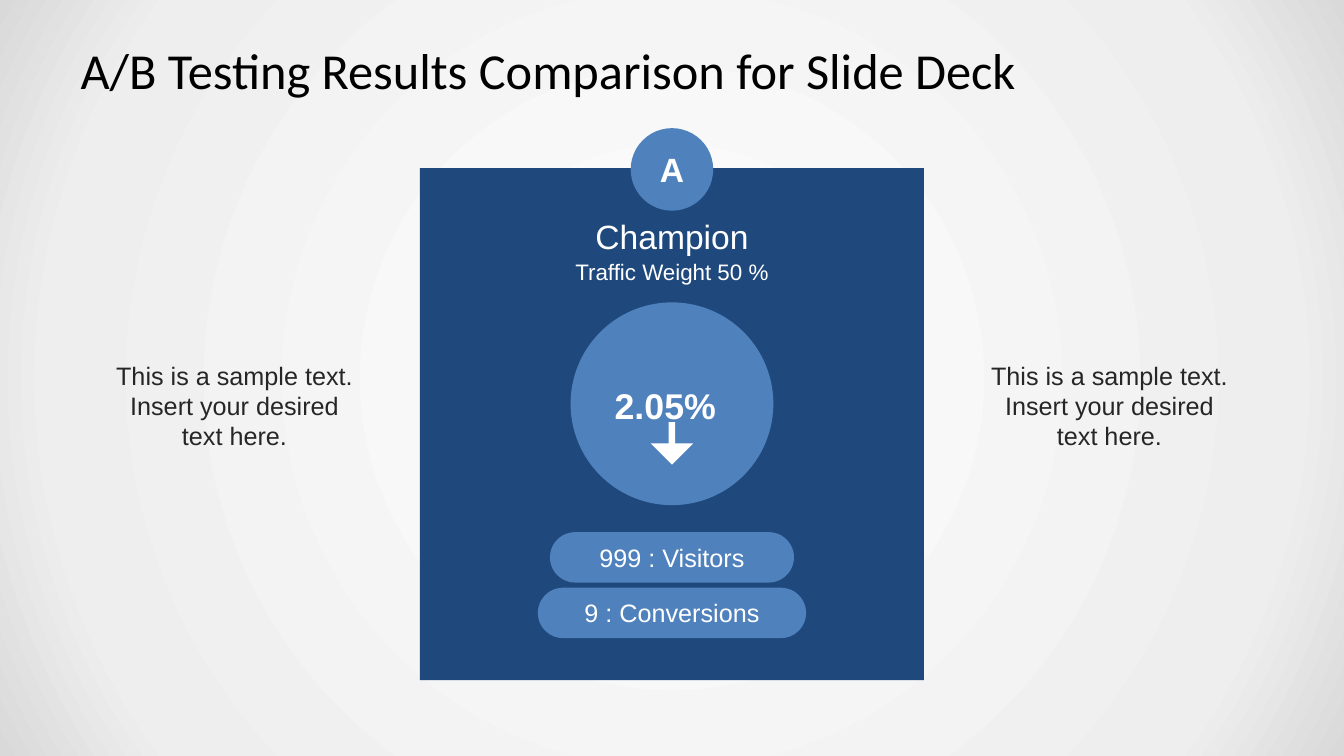
from dataclasses import dataclass

import lxml.etree
import pptx
import pptx.dml.color
import pptx.enum.shapes
import pptx.enum.text
import pptx.oxml
import pptx.oxml.ns
import pptx.shapes.base
import pptx.slide
import pptx.text.text
import pptx.util

Cm = pptx.util.Cm
Shape = pptx.enum.shapes.MSO_SHAPE
Align = pptx.enum.text.PP_ALIGN
Anchor = pptx.enum.text.MSO_ANCHOR

SLIDE_WIDTH, SLIDE_HEIGHT = 33.87, 19.05
CENTRE = SLIDE_WIDTH / 2
NAVY, BLUE, WHITE, BLACK, CHARCOAL = "1F497D", "4F81BD", "FFFFFF", "000000", "262626"
BACKGROUND_STOPS = ((0, "FFFFFF"), (81, "EEEEEE"), (100, "D9D9D9"))


@dataclass(frozen=True)
class Label:
    paragraphs: tuple[str, ...]
    size: float
    color: str = WHITE
    bold: bool = False
    font: str = "Arial"
    align: Align = Align.CENTER
    baseline: int = 0  # percent above the line


@dataclass(frozen=True)
class CentredShape:
    """A preset shape whose middle lies on the slide's vertical axis."""
    preset: Shape
    top: float
    width: float
    height: float
    fill: str = BLUE
    adjustments: tuple[float, ...] = ()
    label: Label | None = None


@dataclass(frozen=True)
class TextBox:
    left: float
    top: float
    width: float
    height: float
    label: Label
    wrap: bool = True
    anchor: Anchor = Anchor.TOP
    margins: tuple[float, float] = (0.25, 0.13)  # horizontal, vertical


def centred(width: float) -> float:
    return CENTRE - width / 2


def rgb(color: str) -> pptx.dml.color.RGBColor:
    return pptx.dml.color.RGBColor.from_string(color)


def set_margins(frame: pptx.text.text.TextFrame, horizontal: float, vertical: float) -> None:
    frame.margin_left = frame.margin_right = Cm(horizontal)
    frame.margin_top = frame.margin_bottom = Cm(vertical)


def write_label(frame: pptx.text.text.TextFrame, label: Label) -> None:
    for index, text in enumerate(label.paragraphs):
        paragraph = frame.add_paragraph() if index else frame.paragraphs[0]
        paragraph.alignment = label.align
        run = paragraph.add_run()
        run.text = text
        run.font.name = label.font
        run.font.size = pptx.util.Pt(label.size)
        run.font.bold = label.bold
        run.font.color.rgb = rgb(label.color)
        if label.baseline:
            run._r.get_or_add_rPr().set("baseline", str(label.baseline * 1000))


def draw_shape(slide: pptx.slide.Slide, item: CentredShape) -> None:
    shape = slide.shapes.add_shape(
        item.preset, Cm(centred(item.width)), Cm(item.top), Cm(item.width), Cm(item.height))
    shape.shadow.inherit = False
    shape.fill.solid()
    shape.fill.fore_color.rgb = rgb(item.fill)
    shape.line.fill.background()
    for index, value in enumerate(item.adjustments):
        shape.adjustments[index] = value
    if item.label:
        set_margins(shape.text_frame, 0, 0)
        shape.text_frame.vertical_anchor = Anchor.MIDDLE
        write_label(shape.text_frame, item.label)


def draw_text(slide: pptx.slide.Slide, item: TextBox) -> None:
    box = slide.shapes.add_textbox(Cm(item.left), Cm(item.top), Cm(item.width), Cm(item.height))
    frame = box.text_frame
    frame.word_wrap = item.wrap
    frame.vertical_anchor = item.anchor
    set_margins(frame, *item.margins)
    write_label(frame, item.label)


def paint_background(slide: pptx.slide.Slide) -> None:
    """Fill the slide with a gradient that spreads in circles from the middle."""
    slide.background.fill.gradient()
    gradient = slide.element.xpath("./p:cSld/p:bg/p:bgPr/a:gradFill")[0]
    stops = "".join(
        f'<a:gs pos="{position * 1000}"><a:srgbClr val="{color}"/></a:gs>'
        for position, color in BACKGROUND_STOPS)
    radial = pptx.oxml.parse_xml(
        f'<a:gradFill {pptx.oxml.ns.nsdecls("a")} rotWithShape="1"><a:gsLst>{stops}</a:gsLst>'
        '<a:path path="circle"><a:fillToRect l="50000" t="50000" r="50000" b="50000"/></a:path>'
        '</a:gradFill>')
    gradient.getparent().replace(gradient, radial)


SHAPES = (
    CentredShape(Shape.RECTANGLE, 4.24, 12.7, 12.9, NAVY),
    CentredShape(Shape.OVAL, 7.75, 4.95, 4.95),
    CentredShape(Shape.DONUT, 7.62, 5.11, 5.11, adjustments=(0.075,)),
    CentredShape(Shape.DOWN_ARROW, 10.64, 1.07, 1.07, WHITE, (0.153, 0.5)),
    CentredShape(Shape.OVAL, 3.23, 2.08, 2.08, label=Label(("A",), 24, bold=True)),
    CentredShape(Shape.ROUNDED_RECTANGLE, 13.41, 6.15, 1.27, adjustments=(0.5,),
                 label=Label(("999 : Visitors",), 18)),
    CentredShape(Shape.ROUNDED_RECTANGLE, 14.81, 6.76, 1.27, adjustments=(0.5,),
                 label=Label(("9 : Conversions",), 18)),
)

SIDE_NOTE = Label(("This is a sample text.", "Insert your desired text here."), 18, CHARCOAL)
SIDE_MARGIN, SIDE_WIDTH = 2.52, 6.78

TEXTS = (
    TextBox(1.7, 0.76, 30.48, 1.98,
            Label(("A/B Testing Results Comparison for Slide Deck",), 36, BLACK,
                  font="Calibri", align=Align.LEFT),
            anchor=Anchor.MIDDLE, margins=(0.33, 0.18)),
    TextBox(15.24, 8.94, 3.48, 1.5,
            Label(("2.05%",), 44, bold=True, align=Align.LEFT, baseline=3), wrap=False),
    TextBox(centred(4.42), 5.31, 4.42, 1.27, Label(("Champion",), 24), wrap=False),
    TextBox(centred(5.46), 6.38, 5.46, 0.94, Label(("Traffic Weight 50 %",), 16), wrap=False),
    *(TextBox(left, 8.94, SIDE_WIDTH, 2.57, SIDE_NOTE)
      for left in (SIDE_MARGIN, SLIDE_WIDTH - SIDE_MARGIN - SIDE_WIDTH)),
)


def main() -> None:
    presentation = pptx.Presentation()
    presentation.slide_width = Cm(SLIDE_WIDTH)
    presentation.slide_height = Cm(SLIDE_HEIGHT)
    slide = presentation.slides.add_slide(presentation.slide_layouts[6])
    paint_background(slide)
    for shape in SHAPES:
        draw_shape(slide, shape)
    for text in TEXTS:
        draw_text(slide, text)
    presentation.save("out.pptx")


if __name__ == "__main__":
    main()
